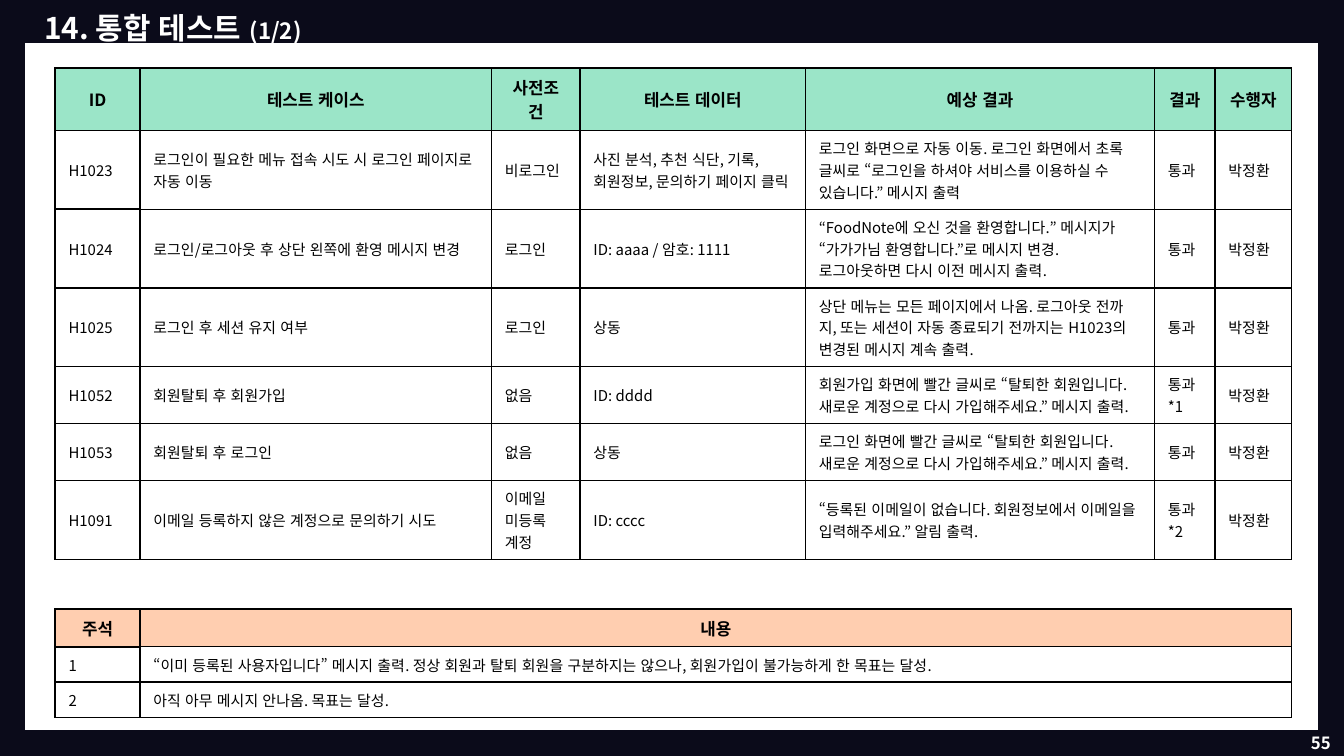
from dataclasses import dataclass
from typing import Optional

from lxml.etree import SubElement
from pptx import Presentation
from pptx.dml.color import RGBColor
from pptx.enum.lang import MSO_LANGUAGE_ID as Language
from pptx.enum.shapes import MSO_SHAPE as Shape
from pptx.enum.text import MSO_ANCHOR as Anchor, MSO_AUTO_SIZE as AutoSize, PP_ALIGN as Align
from pptx.oxml.ns import qn
from pptx.util import Pt


@dataclass(frozen=True)
class Theme:
    font: str = "Noto Sans CJK KR"
    navy: str = "0B0B1A"
    white: str = "FFFFFF"
    black: str = "000000"
    mint: str = "9BE5C8"
    peach: str = "FFCEB0"
    title_size: float = 16
    part_size: float = 12
    header_size: float = 9
    body_size: float = 8
    thick_line: float = 1
    thin_line: float = 0.78


@dataclass(frozen=True)
class TableSpec:
    top: float
    header_fill: str
    heights: list[float]
    rows: list[list[str]]


THEME = Theme()
TABLE_LEFT = 29.5
# ID, case, precondition, data, expected result, result, tester
COLUMN_WIDTHS = [45.5, 188.25, 47.5, 120.75, 187, 32.5, 41]
TESTER = "박정환"

TEST_TABLE = TableSpec(36.5, THEME.mint, [33, 42, 42, 42, 30.5, 30.5, 42], [
    ["ID", "테스트 케이스", "사전조건", "테스트 데이터", "예상 결과", "결과", "수행자"],
    ["H1023", "로그인이 필요한 메뉴 접속 시도 시 로그인 페이지로 자동 이동", "비로그인",
     "사진 분석, 추천 식단, 기록, 회원정보, 문의하기 페이지 클릭",
     "로그인 화면으로 자동 이동. 로그인 화면에서 초록 글씨로 “로그인을 하셔야 서비스를 "
     "이용하실 수 있습니다.” 메시지 출력", "통과", TESTER],
    ["H1024", "로그인/로그아웃 후 상단 왼쪽에 환영 메시지 변경", "로그인",
     "ID: aaaa / 암호: 1111",
     "“FoodNote에 오신 것을 환영합니다.” 메시지가 “가가가님 환영합니다.”로 메시지 변경. "
     "로그아웃하면 다시 이전 메시지 출력.", "통과", TESTER],
    ["H1025", "로그인 후 세션 유지 여부", "로그인", "상동",
     "상단 메뉴는 모든 페이지에서 나옴. 로그아웃 전까지, 또는 세션이 자동 종료되기 전까지는 "
     "H1023의 변경된 메시지 계속 출력.", "통과", TESTER],
    ["H1052", "회원탈퇴 후 회원가입", "없음", "ID: dddd",
     "회원가입 화면에 빨간 글씨로 “탈퇴한 회원입니다. 새로운 계정으로 다시 가입해주세요.” "
     "메시지 출력.", "통과\n*1", TESTER],
    ["H1053", "회원탈퇴 후 로그인", "없음", "상동",
     "로그인 화면에 빨간 글씨로 “탈퇴한 회원입니다. 새로운 계정으로 다시 가입해주세요.” "
     "메시지 출력.", "통과", TESTER],
    ["H1091", "이메일 등록하지 않은 계정으로 문의하기 시도", "이메일 미등록 계정", "ID: cccc",
     "“등록된 이메일이 없습니다. 회원정보에서 이메일을 입력해주세요.” 알림 출력.",
     "통과\n*2", TESTER],
])

NOTE_TABLE = TableSpec(326.25, THEME.peach, [20, 18.75, 18.75], [
    ["주석", "내용"],
    ["1", "“이미 등록된 사용자입니다” 메시지 출력. 정상 회원과 탈퇴 회원을 구분하지는 않으나, "
          "회원가입이 불가능하게 한 목표는 달성."],
    ["2", "아직 아무 메시지 안나옴. 목표는 달성."],
])


def set_fill(target, color: str) -> None:
    target.fill.solid()
    target.fill.fore_color.rgb = RGBColor.from_string(color)


def add_run(paragraph, text: str, size: float, color: str, bold: bool) -> None:
    run = paragraph.add_run()
    run.text = text
    font = run.font
    font.size, font.bold = Pt(size), bold
    font.color.rgb = RGBColor.from_string(color)
    font.name = THEME.font
    font.language_id = Language.KOREAN
    # Korean glyphs take the East Asian typeface
    SubElement(run._r.get_or_add_rPr(), qn("a:ea"), typeface=THEME.font)


def set_insets(frame, inset: float) -> None:
    frame.margin_left = frame.margin_right = Pt(inset)
    frame.margin_top = frame.margin_bottom = Pt(inset)


def draw_border(cell, tag: str, width: float) -> None:
    properties = cell._tc.get_or_add_tcPr()
    line = SubElement(properties, qn(f"a:{tag}"), w=str(int(Pt(width))))
    solid = SubElement(line, qn("a:solidFill"))
    SubElement(solid, qn("a:srgbClr"), val=THEME.black)


def format_cell(cell, row: int, column: int, last: bool, header_fill: str) -> None:
    # The outer edges and the first column have the thicker line
    first, body = column == 0, row > 0
    thick = {
        "lnL": first or (column == 1 and body),
        "lnR": last or (first and body),
        "lnT": first or not body,
        "lnB": first,
    }
    for tag, is_thick in thick.items():
        draw_border(cell, tag, THEME.thick_line if is_thick else THEME.thin_line)
    if body:
        cell.fill.background()
    else:
        set_fill(cell, header_fill)
    cell.vertical_anchor = Anchor.MIDDLE


def write_cell(cell, text: str, header: bool) -> None:
    frame = cell.text_frame
    for index, line in enumerate(text.split("\n")):
        paragraph = frame.add_paragraph() if index else frame.paragraphs[0]
        paragraph.alignment = Align.CENTER if header else Align.LEFT
        size = THEME.header_size if header else THEME.body_size
        add_run(paragraph, line, size, THEME.black, header)


def draw_table(slide, spec: TableSpec) -> None:
    table = slide.shapes.add_table(
        len(spec.rows), len(COLUMN_WIDTHS), Pt(TABLE_LEFT), Pt(spec.top),
        Pt(sum(COLUMN_WIDTHS)), Pt(sum(spec.heights))).table
    table.first_row = table.horz_banding = False
    for column, width in zip(table.columns, COLUMN_WIDTHS):
        column.width = Pt(width)
    last_column = len(COLUMN_WIDTHS) - 1
    for row, (texts, height) in enumerate(zip(spec.rows, spec.heights)):
        table.rows[row].height = Pt(height)
        last_text = len(texts) - 1
        # A short row stretches its last cell to the right edge
        if last_text < last_column:
            table.cell(row, last_text).merge(table.cell(row, last_column))
        for column in range(len(COLUMN_WIDTHS)):
            cell = table.cell(row, column)
            format_cell(cell, row, column, column >= last_text, spec.header_fill)
            if column <= last_text:
                write_cell(cell, texts[column], row == 0)


def draw_panel(slide) -> None:
    panel = slide.shapes.add_shape(Shape.RECTANGLE, Pt(13.5), Pt(14.5), Pt(692.5), Pt(376.5))
    panel.shadow.inherit = False
    set_fill(panel, THEME.white)
    panel.line.fill.background()
    # Send the panel behind the title
    slide.shapes._spTree.insert(2, panel._element)


def draw_title(slide) -> None:
    title = slide.shapes.title
    title.left, title.top, title.width, title.height = Pt(11.5), Pt(0), Pt(696), Pt(23)
    set_fill(title, THEME.navy)
    frame = title.text_frame
    frame.auto_size, frame.word_wrap = AutoSize.NONE, True
    frame.vertical_anchor = Anchor.TOP
    set_insets(frame, 7.2)
    paragraph = frame.paragraphs[0]
    paragraph.alignment, paragraph.line_spacing = Align.LEFT, 0.9
    paragraph._p.get_or_add_pPr().set("marL", str(int(Pt(5))))
    add_run(paragraph, "14. 통합 테스트 ", THEME.title_size, THEME.white, True)
    add_run(paragraph, "(1/2)", THEME.part_size, THEME.white, True)


def draw_page_number(slide, number: Optional[str]) -> None:
    box = slide.shapes.add_textbox(Pt(677), Pt(382.25), Pt(43), Pt(31))
    frame = box.text_frame
    frame.word_wrap, frame.vertical_anchor = True, Anchor.MIDDLE
    set_insets(frame, 7.2)
    frame.paragraphs[0].alignment = Align.RIGHT
    add_run(frame.paragraphs[0], number, THEME.header_size, THEME.white, True)


def main() -> None:
    presentation = Presentation()
    presentation.slide_width, presentation.slide_height = Pt(720), Pt(405)
    slide = presentation.slides.add_slide(presentation.slide_layouts[5])
    set_fill(slide.background, THEME.navy)
    draw_panel(slide)
    draw_title(slide)
    draw_table(slide, TEST_TABLE)
    draw_table(slide, NOTE_TABLE)
    draw_page_number(slide, "55")
    presentation.save("out.pptx")


if __name__ == "__main__":
    main()
